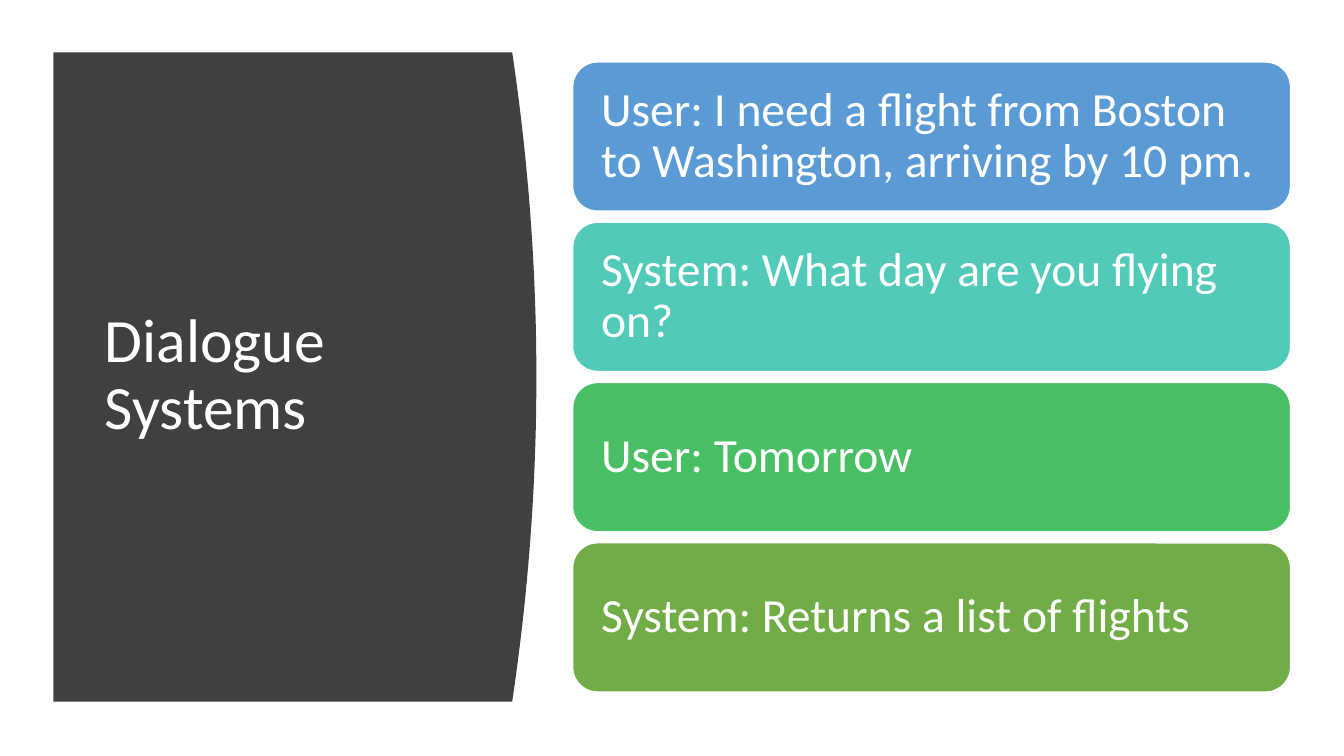
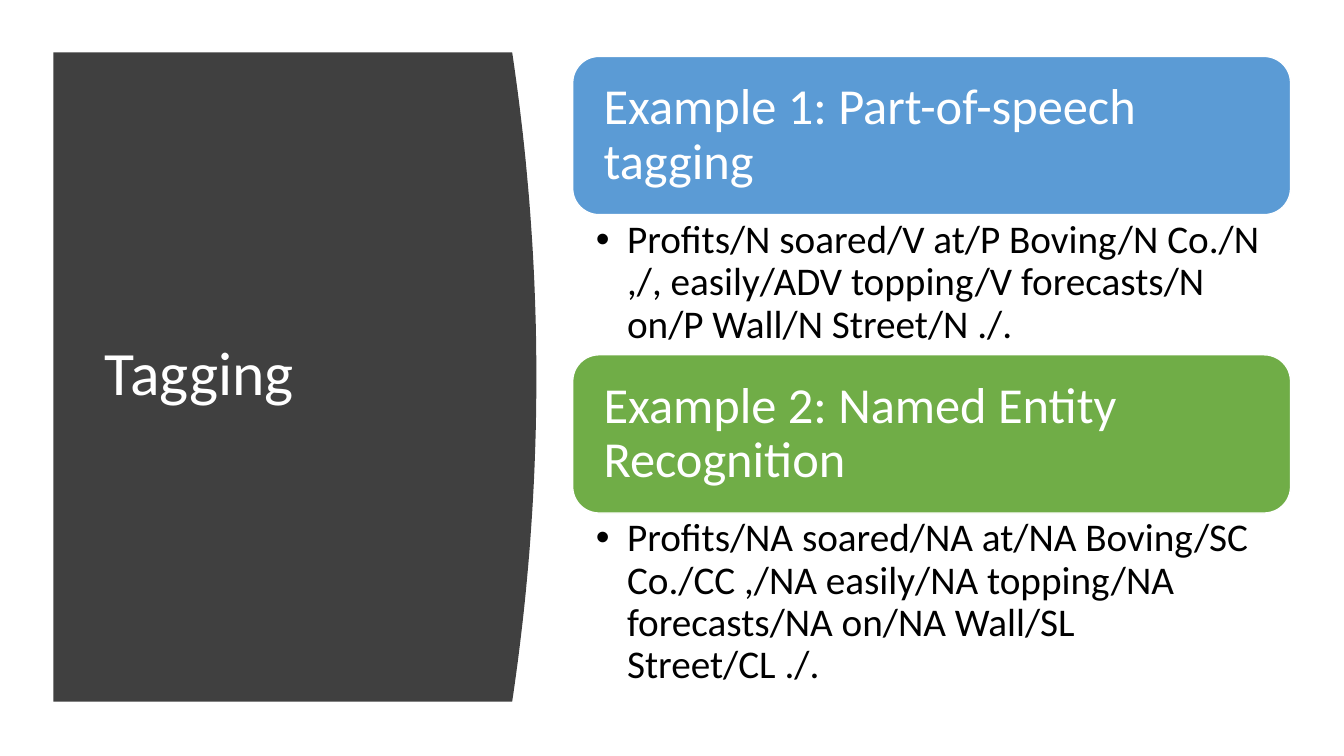
from dataclasses import dataclass

from lxml import etree
from pptx import Presentation
from pptx.dml.color import RGBColor
from pptx.enum.shapes import MSO_SHAPE
from pptx.enum.text import MSO_ANCHOR, MSO_AUTO_SIZE, PP_ALIGN
from pptx.oxml.ns import qn
from pptx.util import Inches, Pt

ROUNDED = MSO_SHAPE.ROUNDED_RECTANGLE
TOP, MIDDLE = MSO_ANCHOR.TOP, MSO_ANCHOR.MIDDLE
LEFT = PP_ALIGN.LEFT
NO_FIT = MSO_AUTO_SIZE.NONE
TITLE_ONLY = 5


@dataclass(frozen=True)
class Theme:
    font: str = "Calibri"
    panel: str = "404040"
    light: str = "FFFFFF"
    dark: str = "000000"
    blue: str = "5B9BD5"
    teal: str = "52CAB8"
    green: str = "49BF64"
    olive: str = "70AD47"
    title_size: int = 44
    turn_size: int = 34
    heading_size: int = 36
    example_size: int = 28
    line_spacing: float = 0.9


THEME = Theme()

DIALOGUE_TITLE = "Dialogue Systems"
DIALOGUE = [
    ("User: I need a flight from Boston to Washington, arriving by 10 pm.", THEME.blue),
    ("System: What day are you flying on?", THEME.teal),
    ("User: Tomorrow", THEME.green),
    ("System: Returns a list of flights", THEME.olive),
]

TAGGING_TITLE = "Tagging"
TAGGING = [
    (
        "Example 1: Part-of-speech tagging",
        THEME.blue,
        "Profits/N soared/V at/P Boving/N Co./N ,/, easily/ADV topping/V "
        "forecasts/N on/P Wall/N Street/N ./.",
        1.39,
    ),
    (
        "Example 2: Named Entity Recognition",
        THEME.olive,
        "Profits/NA soared/NA at/NA Boving/SC Co./CC ,/NA easily/NA topping/NA "
        "forecasts/NA on/NA Wall/SL Street/CL ./.",
        1.83,
    ),
]

SLIDE_SIZE = (13.33, 7.5)
PANEL_LEFT, PANEL_TOP, PANEL_WIDTH, PANEL_HEIGHT = 0.53, 0.52, 4.55, 6.44
PANEL_MIDDLE = PANEL_TOP + PANEL_HEIGHT / 2
BULGE, CURVE_STEPS = 0.24, 48
TITLE_BOX = (0.94, 1.11, 3.74, 5.24)
STACK_LEFT, STACK_WIDTH = 5.68, 7.12
TURN_HEIGHT, TURN_GAP = 1.48, 0.11
HEADING_HEIGHT = 1.57
TURN_INSETS = (0.21, 0.1, 0.21, 0.1)
HEADING_INSETS = (0.23, 0.1, 0.23, 0.1)
EXAMPLE_INSETS = (0.23, 0.05, 0.28, 0.05)
BULLET_INDENT = 0.31


def inches(values):
    return [Inches(value) for value in values]


def write(shape, text, size, color, anchor=MIDDLE, insets=(0.1, 0.05, 0.1, 0.05)):
    frame = shape.text_frame
    frame.text = text
    frame.word_wrap = True
    frame.auto_size = NO_FIT
    frame.vertical_anchor = anchor
    (frame.margin_left, frame.margin_top,
     frame.margin_right, frame.margin_bottom) = inches(insets)
    paragraph = frame.paragraphs[0]
    paragraph.alignment = LEFT
    paragraph.line_spacing = THEME.line_spacing
    font = paragraph.runs[0].font
    font.name = THEME.font
    font.size = Pt(size)
    font.color.rgb = RGBColor.from_string(color)
    return paragraph


def add_panel(slide):
    right = PANEL_LEFT + PANEL_WIDTH
    points = []
    for step in range(CURVE_STEPS + 1):
        along = step / CURVE_STEPS
        x = right + BULGE * (1 - (2 * along - 1) ** 2)
        points.append(inches((x, PANEL_TOP + PANEL_HEIGHT * along)))
    points.append(inches((PANEL_LEFT, PANEL_TOP + PANEL_HEIGHT)))
    outline = slide.shapes.build_freeform(Inches(PANEL_LEFT), Inches(PANEL_TOP))
    outline.add_line_segments(points, close=True)
    panel = outline.convert_to_shape()
    panel.shadow.inherit = False
    panel.fill.solid()
    panel.fill.fore_color.rgb = RGBColor.from_string(THEME.panel)
    panel.line.fill.background()
    return panel


def add_titled_slide(deck, text):
    slide = deck.slides.add_slide(deck.slide_layouts[TITLE_ONLY])
    title = slide.shapes.title
    title.left, title.top, title.width, title.height = inches(TITLE_BOX)
    write(title, text, THEME.title_size, THEME.light)
    panel = add_panel(slide)
    title._element.addprevious(panel._element)
    return slide


def add_card(slide, top, height, text, color, size, insets):
    card = slide.shapes.add_shape(
        ROUNDED, *inches((STACK_LEFT, top, STACK_WIDTH, height)))
    card.shadow.inherit = False
    card.fill.solid()
    card.fill.fore_color.rgb = RGBColor.from_string(color)
    card.line.color.rgb = RGBColor.from_string(THEME.light)
    card.line.width = Pt(1)
    write(card, text, size, THEME.light, insets=insets)


def add_example(slide, top, height, text):
    example = slide.shapes.add_textbox(
        *inches((STACK_LEFT, top, STACK_WIDTH, height)))
    paragraph = write(example, text, THEME.example_size, THEME.dark, TOP, EXAMPLE_INSETS)
    properties = paragraph._p.get_or_add_pPr()
    properties.set("marL", str(Inches(BULLET_INDENT)))
    properties.set("indent", str(-Inches(BULLET_INDENT)))
    etree.SubElement(properties, qn("a:buFont")).set("typeface", "Arial")
    etree.SubElement(properties, qn("a:buChar")).set("char", "•")


def build_dialogue(deck):
    slide = add_titled_slide(deck, DIALOGUE_TITLE)
    pitch = TURN_HEIGHT + TURN_GAP
    first_top = PANEL_MIDDLE - (len(DIALOGUE) * pitch - TURN_GAP) / 2
    for index, (turn, color) in enumerate(DIALOGUE):
        add_card(slide, first_top + index * pitch, TURN_HEIGHT, turn, color,
                 THEME.turn_size, TURN_INSETS)


def build_tagging(deck):
    slide = add_titled_slide(deck, TAGGING_TITLE)
    stack_height = sum(HEADING_HEIGHT + height for *_, height in TAGGING)
    top = PANEL_MIDDLE - stack_height / 2
    for heading, color, example, height in TAGGING:
        add_card(slide, top, HEADING_HEIGHT, heading, color,
                 THEME.heading_size, HEADING_INSETS)
        add_example(slide, top + HEADING_HEIGHT, height, example)
        top += HEADING_HEIGHT + height


def main():
    deck = Presentation()
    deck.slide_width, deck.slide_height = inches(SLIDE_SIZE)
    build_dialogue(deck)
    build_tagging(deck)
    deck.save("out.pptx")


if __name__ == "__main__":
    main()
